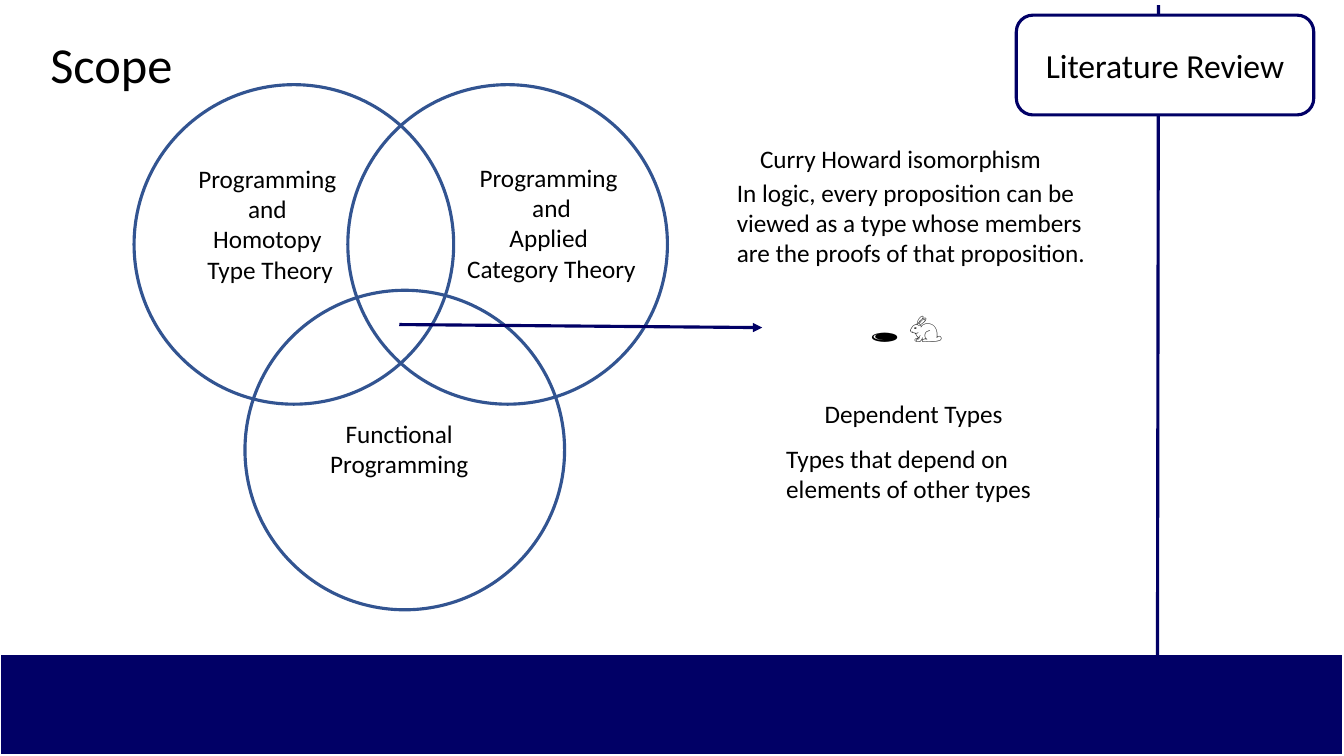
from pptx import Presentation
from pptx.dml.color import RGBColor
from pptx.enum.shapes import MSO_CONNECTOR, MSO_SHAPE
from pptx.enum.text import MSO_ANCHOR, PP_ALIGN
from pptx.oxml.ns import qn
from pptx.util import Inches, Pt
from lxml import etree

# Content
COLORS = {"navy": "010066", "blue": "325491", "white": "FFFFFF", "black": "000000"}
FONT = "Calibri"
SIZE = 3.17  # circle diameter

CIRCLES = [(3.45, 0.84), (1.33, 0.84), (2.43, 2.88)]

# Each label: box, lines
LABELS = [
    ((4.09, 1.56, 2.76, 1.31), ["Programming ", "and", "Applied ", "Category Theory"]),
    ((1.33, 1.57, 2.7, 1.31), ["Programming ", "and ", "Homotopy ", "Type Theory"]),
    ((2.61, 4.1, 2.7, 1.01), ["Functional", "Programming"]),
]

# Each note: box, text, size
NOTES = [
    ((0.4, 0.28, 1.85, 0.71), "Scope", 36),
    ((7.44, 1.37, 3, 0.4), "Curry Howard isomorphism", 18),
    ((7.21, 1.71, 3.78, 1.01),
     "In logic, every proposition can be viewed as a type whose members "
     "are the proofs of that proposition.", 18),
    ((8.08, 3.9, 2.06, 0.4), "Dependent Types", 18),
    ((7.7, 4.35, 3, 0.71), "Types that depend on elements of other types", 18),
    ((8.51, 2.99, 1.37, 0.5), "🕳️ 🐇", 24),
]

deck = Presentation()
deck.slide_width, deck.slide_height = Inches(13.33), Inches(7.5)
slide = deck.slides.add_slide(deck.slide_layouts[6])


def color(name):
    return RGBColor.from_string(COLORS[name])


def write(frame, lines, size=18, align=PP_ALIGN.LEFT, anchor=MSO_ANCHOR.TOP):
    frame.word_wrap = True
    frame.vertical_anchor = anchor
    for i, line in enumerate(lines):
        para = frame.paragraphs[0] if i == 0 else frame.add_paragraph()
        para.alignment = align
        run = para.add_run()
        run.text = line
        run.font.name, run.font.size = FONT, Pt(size)
        run.font.color.rgb = color("black")


def text(box, lines, **style):
    label = slide.shapes.add_textbox(*map(Inches, box))
    write(label.text_frame, lines, **style)


def shape(kind, box, fill=None, line="navy", width=2.25):
    item = slide.shapes.add_shape(kind, *map(Inches, box))
    item.shadow.inherit = False
    if fill:
        item.fill.solid()
        item.fill.fore_color.rgb = color(fill)
    else:
        item.fill.background()
    item.line.color.rgb = color(line)
    item.line.width = Pt(width)
    return item


def rule(start, end, arrow=False):
    item = slide.shapes.add_connector(MSO_CONNECTOR.STRAIGHT, *map(Inches, start + end))
    item.line.color.rgb = color("navy")
    item.line.width = Pt(2.25)
    if arrow:
        etree.SubElement(item.line._get_or_add_ln(), qn("a:tailEnd"), type="triangle")
    etree.SubElement(item._element.spPr, qn("a:effectLst"))


# Footer band
shape(MSO_SHAPE.RECTANGLE, (0, 6.49, 13.32, 1), fill="navy", line="white", width=1)

# Title, notes and circle labels
for box, note, size in NOTES:
    text(box, [note], size=size)
for box, lines in LABELS:
    text(box, lines, align=PP_ALIGN.CENTER)

# Venn circles and the arrow from their overlap
for left, top in CIRCLES:
    shape(MSO_SHAPE.OVAL, (left, top, SIZE, SIZE), line="blue")
rule((3.96, 3.22), (7.56, 3.25), arrow=True)

# Section marker on its vertical line
rule((11.49, 0.05), (11.48, 6.5))
badge = shape(MSO_SHAPE.ROUNDED_RECTANGLE, (10.08, 0.15, 2.95, 0.99), fill="white")
write(badge.text_frame, ["Literature Review"], size=24,
      align=PP_ALIGN.CENTER, anchor=MSO_ANCHOR.MIDDLE)

deck.save("out.pptx")
